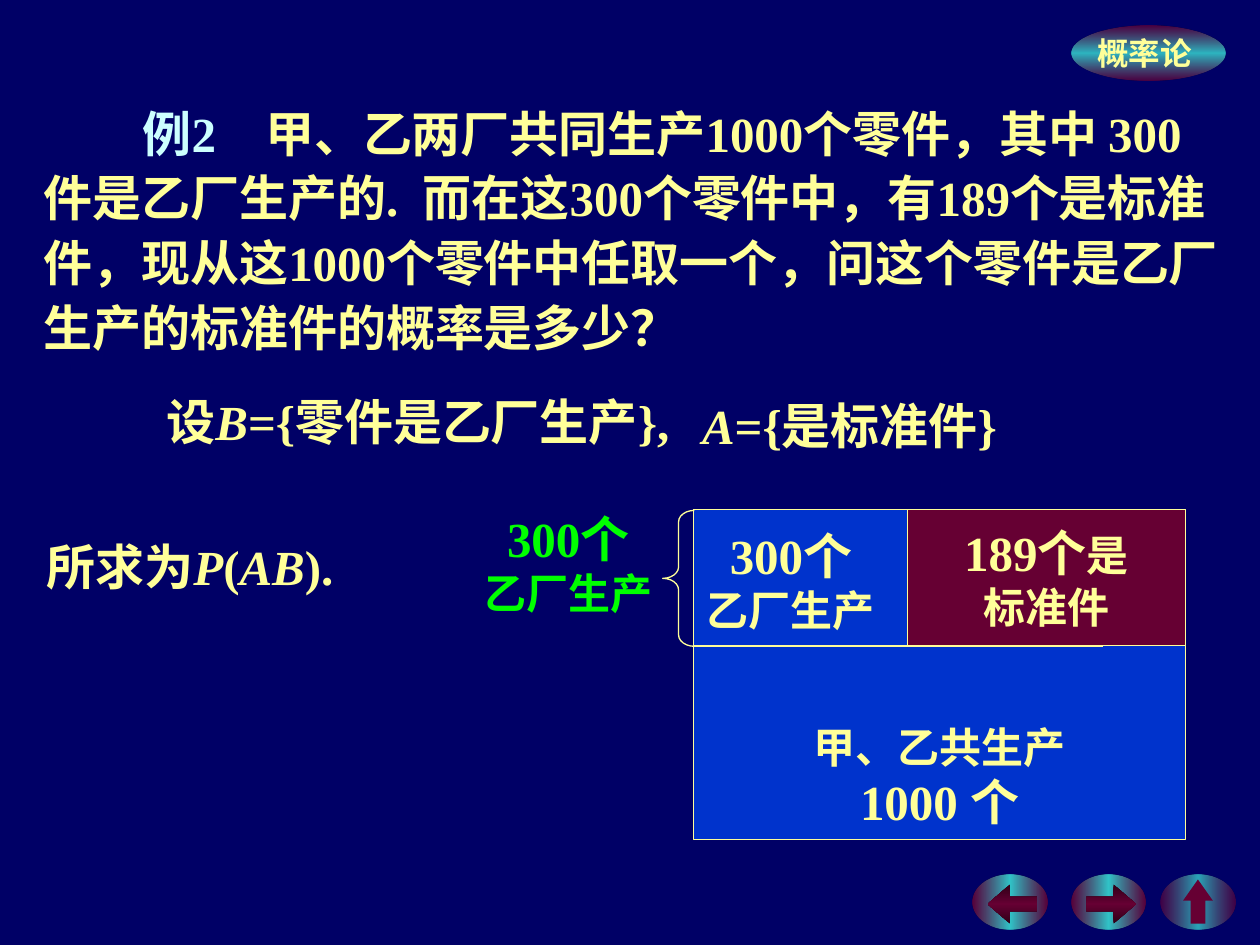
from lxml.etree import SubElement as Sub
from pptx import Presentation
from pptx.dml.color import RGBColor as RGB
from pptx.enum.shapes import MSO_CONNECTOR as LINK, MSO_SHAPE as FORM
from pptx.enum.text import MSO_ANCHOR as ANCHOR, MSO_AUTO_SIZE as FIT, PP_ALIGN as ALIGN
from pptx.oxml.ns import qn
from pptx.util import Cm, Pt

HUES = {
    "back": "000066", "text": "FFFF99", "term": "CCFFFF", "green": "00FF00",
    "blue": "0033CC", "wine": "660033", "dark": "2F0017", "teal": "33CCCC",
}
FONT = "Times New Roman"


def hue(name):
    return RGB.from_string(HUES[name])


def box(at):
    return [Cm(v) for v in at]


def blend(shape, edge, mid, angle, alphas=(100, 100)):
    props = shape._element.spPr
    shape.fill.gradient()
    grad = props.find(qn("a:gradFill"))
    for child in list(grad):
        grad.remove(child)
    grad.set("rotWithShape", "0")
    stops = Sub(grad, qn("a:gsLst"))
    outer, inner = alphas
    for pos, name, alpha in ((0, edge, outer), (50, mid, inner), (100, edge, outer)):
        stop = Sub(stops, qn("a:gs"), pos=str(pos * 1000))
        tint = Sub(stop, qn("a:srgbClr"), val=HUES[name])
        if alpha < 100:
            Sub(tint, qn("a:alpha"), val=str(alpha * 1000))
    Sub(grad, qn("a:lin"), ang=str(angle * 60000), scaled="0")


def form(slide, kind, at, fill=None, line=None, adjust=()):
    shape = slide.shapes.add_shape(kind, *box(at))
    shape.shadow.inherit = False
    if fill:
        shape.fill.solid()
        shape.fill.fore_color.rgb = hue(fill)
    else:
        shape.fill.background()
    if line:
        shape.line.color.rgb = hue(line)
        shape.line.width = Pt(0.75)
    else:
        shape.line.fill.background()
    for i, value in enumerate(adjust):
        shape.adjustments[i] = value
    return shape


def write(shape, lines, color="text", align=ALIGN.CENTER, anchor=ANCHOR.MIDDLE, wrap=False):
    frame = shape.text_frame
    frame.word_wrap = wrap
    frame.vertical_anchor = anchor
    for i, (size, runs) in enumerate(lines):
        para = frame.paragraphs[0] if i == 0 else frame.add_paragraph()
        para.alignment = align
        font = para.font
        font.name, font.size, font.bold = FONT, Pt(size), True
        font.color.rgb = hue(color)
        for text, *style in runs:
            run = para.add_run()
            run.text = text
            for item in style:
                if item == "italic":
                    run.font.italic = True
                elif item in HUES:
                    run.font.color.rgb = hue(item)
                else:
                    run.font.size = Pt(item)
    return frame


def label(slide, at, lines, **look):
    frame = write(slide.shapes.add_textbox(*box(at)), lines, **look)
    frame.auto_size = FIT.SHAPE_TO_FIT_TEXT
    return frame


def rule(slide, x1, y1, x2, y2):
    line = slide.shapes.add_connector(LINK.STRAIGHT, *box((x1, y1, x2, y2)))
    line.line.color.rgb = hue("text")
    line.line.width = Pt(0.75)
    Sub(line._element.spPr, qn("a:effectLst"))


def disc(slide, left, alphas):
    shape = form(slide, FORM.OVAL, (left, 17.44, 1.1, 1.5))
    shape.rotation = 270
    blend(shape, "wine", "teal", 180, alphas)


def buttons(slide):
    for left, kind in ((19.81, FORM.LEFT_ARROW), (21.8, FORM.RIGHT_ARROW)):
        disc(slide, left, (86, 96))
        arrow = form(slide, kind, (left + 0.1, 17.83, 1, 0.79), adjust=(0.36, 0.57))
        blend(arrow, "dark", "wine", 90)
    disc(slide, 23.6, (62, 81))
    form(slide, FORM.UP_ARROW, (23.85, 17.73, 0.6, 0.89), "wine", adjust=(0.5, 0.71))


def badge(slide):
    shape = form(slide, FORM.OVAL, (21.6, 0.52, 3.1, 1.1))
    blend(shape, "wine", "teal", 90, (73, 89))
    write(shape, [(18, [("概率论 ",)])])


def problem(slide):
    text = ("而在这300个零件中，有189个是标准件，现从这1000个零件中任取一个，"
            "问这个零件是乙厂生产的标准件的概率是多少？")
    runs = [("例2", "term"), (" ", "term"),
            ("甲、乙两厂共同生产1000个零件，其中 300件是乙厂生产的.",), (" ",), (text,)]
    frame = label(slide, (0.63, 1.84, 24.33, 5.49), [(28, runs)],
                  align=ALIGN.LEFT, anchor=ANCHOR.TOP, wrap=True)
    para = frame.paragraphs[0]
    para.line_spacing = 1.1
    para._p.get_or_add_pPr().set("indent", str(Cm(2)))
    for place, points in ((1, 21), (3, 7)):
        para.runs[place]._r.get_or_add_rPr().set("spc", str(points * 100))


def events(slide):
    label(slide, (2.75, 7.77, 11.35, 1.45),
          [(28, [("设",), ("B", "italic"), ("={零件是乙厂生产},",)])])
    label(slide, (13.62, 7.85, 7.01, 1.45),
          [(28, [("A", "italic"), ("={是标准件}",)])])
    label(slide, (0.69, 10.69, 8.05, 1.45),
          [(28, [("所求为",), ("P", "italic"), ("(",), ("AB", "italic"), (").",)])],
          align=ALIGN.LEFT, anchor=ANCHOR.TOP, wrap=True)


def diagram(slide):
    whole = form(slide, FORM.RECTANGLE, (13.98, 10.27, 9.92, 6.65), "blue", "text")
    frame = write(whole, [(24, [("甲、乙共生产",)]), (28, [("1000 个",)])],
                  anchor=ANCHOR.BOTTOM)
    frame.margin_bottom = Cm(0.18)
    good = form(slide, FORM.RECTANGLE, (18.29, 10.27, 5.61, 2.74), "wine", "text")
    write(good, [(24, [("189个", 28), ("是",)]), (24, [("标准件",)])])
    rule(slide, 13.98, 13.02, 22.23, 13.02)
    part = [(28, [("300个",)]), (24, [("乙厂生产",)])]
    label(slide, (14, 10.47, 3.89, 2.46), part)
    form(slide, FORM.LEFT_BRACE, (13.36, 10.29, 0.64, 2.74), line="text", adjust=(0.36, 0.5))
    label(slide, (9.51, 10.13, 3.89, 2.46), part, color="green")


def main():
    deck = Presentation()
    deck.slide_width, deck.slide_height = Cm(25.4), Cm(19.05)
    slide = deck.slides.add_slide(deck.slide_layouts[6])
    slide.background.fill.solid()
    slide.background.fill.fore_color.rgb = hue("back")
    badge(slide)
    buttons(slide)
    problem(slide)
    events(slide)
    diagram(slide)
    deck.save("out.pptx")


if __name__ == "__main__":
    main()
